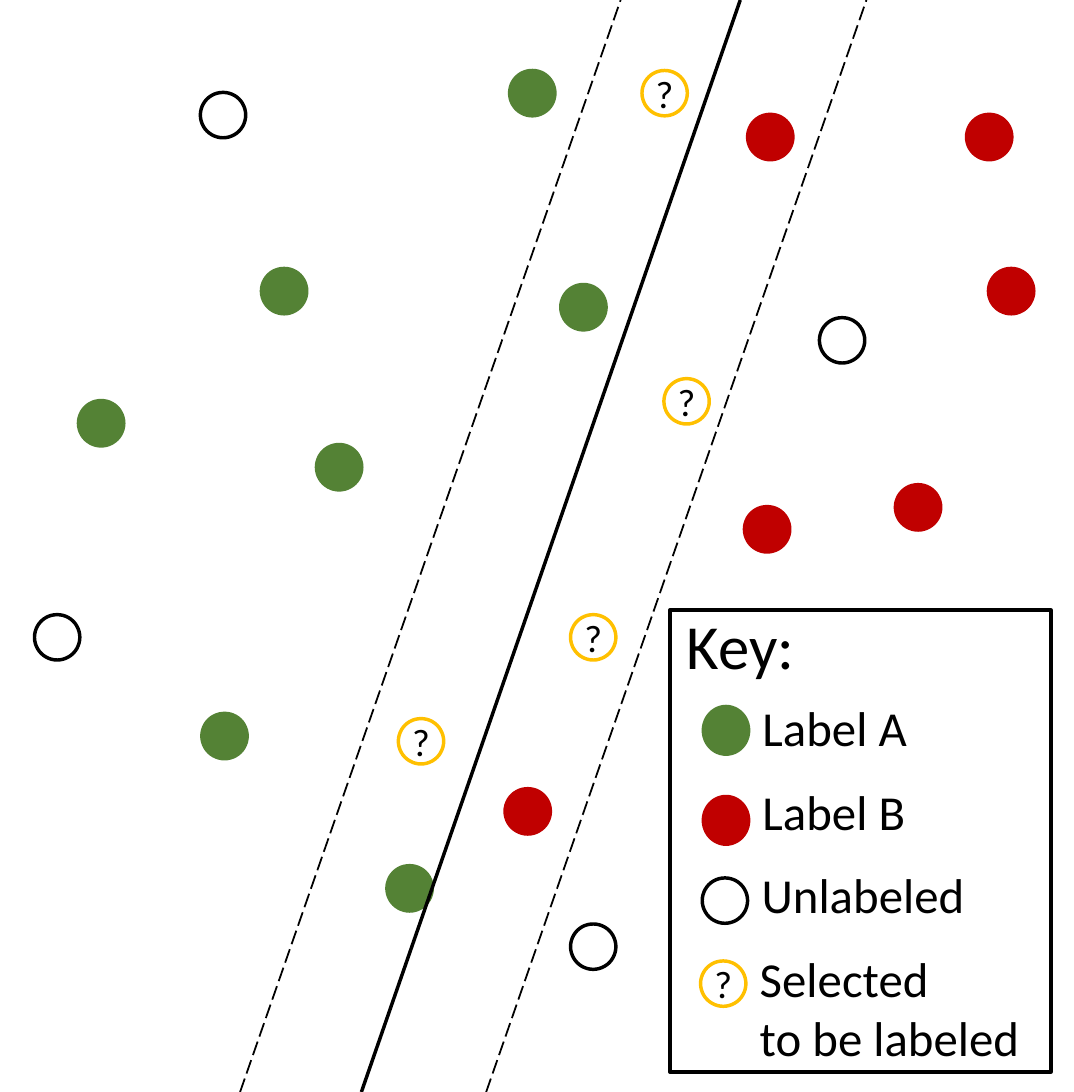
"""Build a slide showing margin-based sample selection around a decision boundary."""
from dataclasses import dataclass

from lxml.etree import SubElement
from pptx import Presentation
from pptx.dml.color import RGBColor
from pptx.enum.dml import MSO_LINE
from pptx.enum.shapes import MSO_CONNECTOR, MSO_SHAPE
from pptx.enum.text import MSO_ANCHOR, MSO_AUTO_SIZE, PP_ALIGN
from pptx.oxml.ns import qn
from pptx.shapes.autoshape import Shape
from pptx.shapes.shapetree import GroupShapes, SlideShapes
from pptx.text.text import TextFrame
from pptx.util import Pt

WIDTH, HEIGHT = 308.16, 313.2
DIAMETER = 13
BLACK = "000000"
LABEL_TOP, LABEL_STEP = 196.6, 24

Shapes = SlideShapes | GroupShapes


@dataclass(frozen=True)
class Marker:
    line: str
    fill: str | None = None
    text: str = ""


@dataclass(frozen=True)
class Boundary:
    bottom_x: float
    top_x: float
    weight: float
    dash: MSO_LINE | None = None


@dataclass(frozen=True)
class KeyEntry:
    marker: Marker
    x: float
    y: float
    marker_height: float
    text: str
    width: float
    height: float


LABEL_A = Marker("548235", "548235")
LABEL_B = Marker("C00000", "C00000")
UNLABELED = Marker(BLACK)
SELECTED = Marker("FFC000", text="?")

SAMPLES = {
    LABEL_A: [(97.3, 134), (167.4, 88.1), (81.5, 83.5), (29, 121.4),
              (152.7, 26.7), (64.4, 211.1), (117.5, 254.8)],
    LABEL_B: [(220.1, 151.8), (263.4, 145.5), (283.8, 39.3), (290.1, 83.5),
              (221, 39.3), (151.4, 232.7)],
    UNLABELED: [(64, 33), (16.4, 182.8), (170.2, 271.5), (241.6, 97.6)],
    SELECTED: [(120.8, 212.6), (170.2, 182.8), (197, 115.1), (190.7, 26.7)],
}

BOUNDARIES = [
    Boundary(103.7, 212.4, 1),
    Boundary(68.9, 178.1, 0.5, MSO_LINE.LONG_DASH),
    Boundary(139.5, 248.6, 0.5, MSO_LINE.LONG_DASH),
]

KEY_ENTRIES = [
    KeyEntry(LABEL_A, 208.3, 209.5, 13.7, "Label A", 56.2, 24.5),
    KeyEntry(LABEL_B, 208.3, 235.3, 13.7, "Label B", 56.2, 24.5),
    KeyEntry(UNLABELED, 208, 258.3, DIAMETER, "Unlabeled", 73.4, 24.5),
    KeyEntry(SELECTED, 207.5, 282.1, DIAMETER, "Selected\vto be labeled", 90, 41),
]


def color(value: str) -> RGBColor:
    return RGBColor.from_string(value)


def write(tf: TextFrame, text: str, size: float) -> None:
    p = tf.paragraphs[0]
    p.text = text
    p.font.name = "Calibri"
    p.font.size = Pt(size)
    p.font.color.rgb = color(BLACK)


def add_outlined(shapes: Shapes, kind: MSO_SHAPE, x: float, y: float, w: float,
                 h: float, line: str, fill: str | None = None) -> Shape:
    sp = shapes.add_shape(kind, Pt(x), Pt(y), Pt(w), Pt(h))
    sp.shadow.inherit = False
    sp.line.color.rgb = color(line)
    sp.line.width = Pt(1)
    if fill:
        sp.fill.solid()
        sp.fill.fore_color.rgb = color(fill)
    else:
        sp.fill.background()
    return sp


def add_marker(shapes: Shapes, marker: Marker, x: float, y: float,
               height: float = DIAMETER) -> None:
    sp = add_outlined(shapes, MSO_SHAPE.OVAL, x - DIAMETER / 2, y - height / 2,
                      DIAMETER, height, marker.line, marker.fill)
    if marker.text:
        tf = sp.text_frame
        tf.margin_left = tf.margin_right = tf.margin_top = tf.margin_bottom = 0
        tf.vertical_anchor = MSO_ANCHOR.MIDDLE
        tf.word_wrap = False
        write(tf, marker.text, 11)
        tf.paragraphs[0].alignment = PP_ALIGN.CENTER


def add_boundary(shapes: Shapes, boundary: Boundary) -> None:
    line = shapes.add_connector(MSO_CONNECTOR.STRAIGHT, Pt(boundary.bottom_x),
                                Pt(HEIGHT), Pt(boundary.top_x), 0)
    line.line.color.rgb = color(BLACK)
    line.line.width = Pt(boundary.weight)
    if boundary.dash:
        line.line.dash_style = boundary.dash
    SubElement(line._element.spPr, qn("a:effectLst"))


def add_text(shapes: Shapes, text: str, x: float, y: float, w: float, h: float,
             size: float, wrap: bool = False) -> None:
    tf = shapes.add_textbox(Pt(x), Pt(y), Pt(w), Pt(h)).text_frame
    tf.word_wrap = wrap
    tf.auto_size = MSO_AUTO_SIZE.SHAPE_TO_FIT_TEXT
    write(tf, text, size)


def add_key(shapes: Shapes) -> None:
    add_outlined(shapes, MSO_SHAPE.RECTANGLE, 192.2, 175, 109.4, 132.5, BLACK)
    add_text(shapes, "Key:", 190, 170.6, 54.7, 28.8, 18, wrap=True)
    for i, entry in enumerate(KEY_ENTRIES):
        add_marker(shapes, entry.marker, entry.x, entry.y, entry.marker_height)
        add_text(shapes, entry.text, entry.x + 3.4, LABEL_TOP + i * LABEL_STEP,
                 entry.width, entry.height, 14)


def main() -> None:
    prs = Presentation()
    prs.slide_width, prs.slide_height = Pt(WIDTH), Pt(HEIGHT)
    s = prs.slides.add_slide(prs.slide_layouts.get_by_name("Blank"))
    for marker, centres in SAMPLES.items():
        for x, y in centres:
            add_marker(s.shapes, marker, x, y)
    for boundary in BOUNDARIES:
        add_boundary(s.shapes, boundary)
    add_key(s.shapes.add_group_shape().shapes)
    prs.save("out.pptx")


if __name__ == "__main__":
    main()
